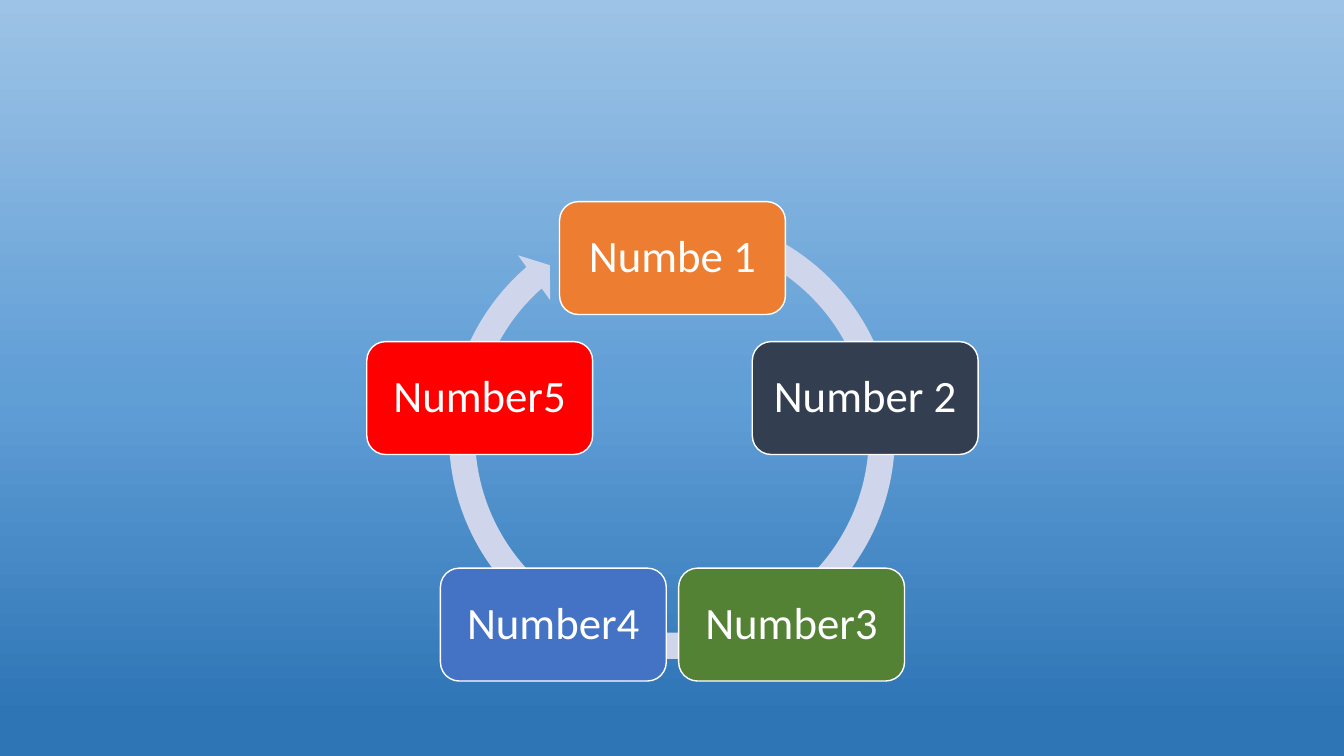
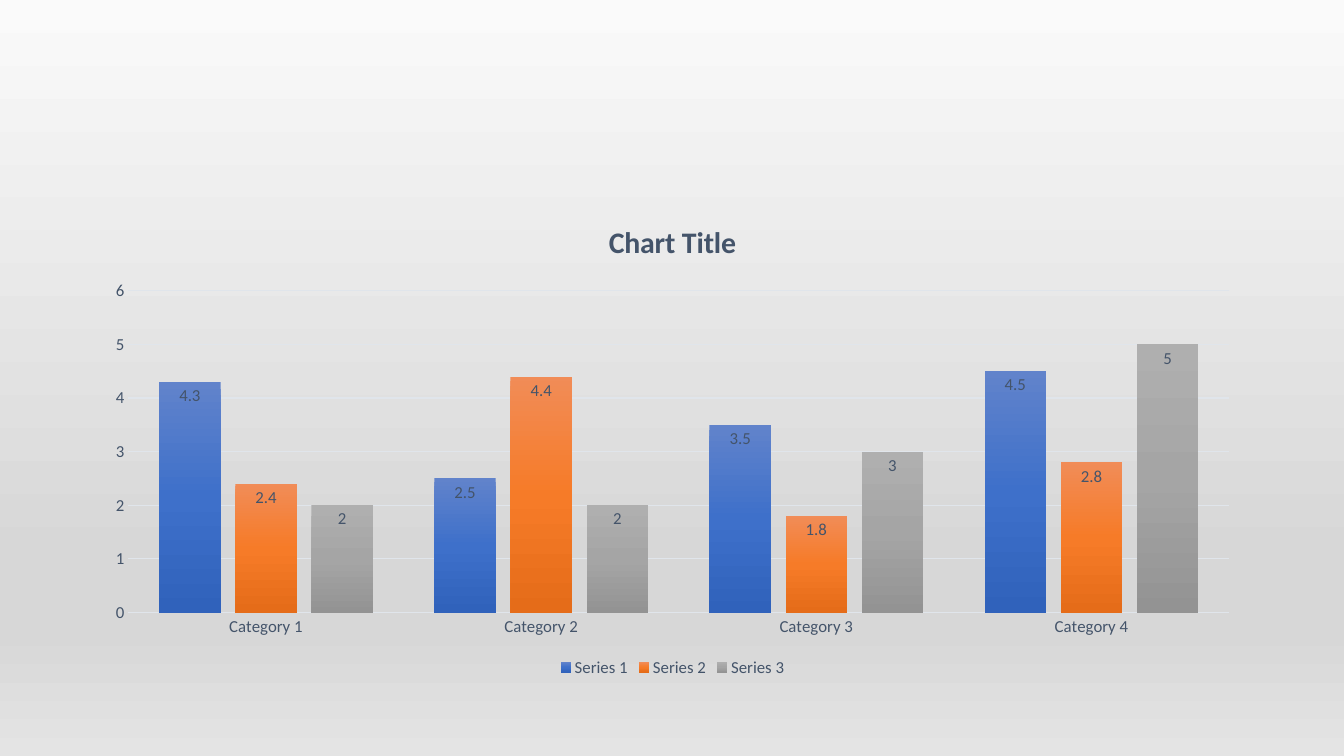
from dataclasses import dataclass
from math import cos, radians, sin

from lxml.etree import SubElement
from pptx import Presentation
from pptx.chart.data import CategoryChartData as ChartData
from pptx.dml.color import RGBColor
from pptx.dml.fill import FillFormat as Fill
from pptx.enum.chart import XL_CHART_TYPE as Kind, XL_LABEL_POSITION as Spot
from pptx.enum.chart import XL_LEGEND_POSITION as Side, XL_TICK_MARK as Tick
from pptx.enum.shapes import MSO_SHAPE as Form
from pptx.enum.text import MSO_ANCHOR as Anchor, PP_ALIGN as Align
from pptx.oxml.ns import qn
from pptx.oxml.xmlchemy import BaseOxmlElement as Node
from pptx.slide import Slide
from pptx.text.text import Font
from pptx.util import Inches, Pt

# Colours and type
FACE = "Calibri"
WHITE = RGBColor(0xFF, 0xFF, 0xFF)
BLACK = RGBColor(0x00, 0x00, 0x00)
ORANGE = RGBColor(0xED, 0x7D, 0x31)
NAVY = RGBColor(0x33, 0x3F, 0x50)
GREEN = RGBColor(0x54, 0x82, 0x35)
BLUE = RGBColor(0x44, 0x72, 0xC4)
RED = RGBColor(0xFF, 0x00, 0x00)
PALE = RGBColor(0xCF, 0xD5, 0xEA)
SLATE = RGBColor(0x44, 0x54, 0x6A)
RULE = RGBColor(0xE0, 0xE5, 0xEB)


@dataclass(frozen=True)
class Blend:
    """Stops as (percent, colour) pairs, running down or up."""
    stops: tuple[tuple[int, str], ...]
    up: bool = False


@dataclass(frozen=True)
class Step:
    text: str
    color: RGBColor


@dataclass(frozen=True)
class Row:
    name: str
    vals: tuple[float, ...]
    blend: Blend


SKY = Blend(((5, "2E75B6"), (48, "609ED6"), (100, "9DC3E6")), up=True)
MIST = Blend(((0, "FAFAFA"), (74, "D7D7D7"), (83, "D7D7D7"), (100, "E4E4E4")))

STEPS = (
    Step("Numbe 1", ORANGE),
    Step("Number 2", NAVY),
    Step("Number3", GREEN),
    Step("Number4", BLUE),
    Step("Number5", RED),
)
ROWS = (
    Row("Series 1", (4.3, 2.5, 3.5, 4.5),
        Blend(((0, "6183CB"), (50, "3E70CA"), (100, "3062BB")))),
    Row("Series 2", (2.4, 4.4, 1.8, 2.8),
        Blend(((0, "F18C57"), (50, "F67B28"), (100, "E56C19")))),
    Row("Series 3", (2, 2, 3, 5),
        Blend(((0, "AFAFAF"), (50, "A5A5A5"), (100, "939393")))),
)

# Cycle geometry, in inches
MID_X, MID_Y, RADIUS = 6.67, 4.57, 2.01
BOX_W, BOX_H = 2.24, 1.12
RING = (4.31, 1.97, 4.71)
BEND = (0.055, 3.307, 137.364, 174.101, 0.058)


def style(font: Font, size: float, color: RGBColor, bold: bool = False) -> None:
    font.name, font.size, font.bold = FACE, Pt(size), bold
    font.color.rgb = color


def shade(fill: Fill, root: Node, blend: Blend) -> None:
    """Fill with a gradient; root is the element that holds the fill."""
    fill.gradient()
    fill.gradient_angle = 90 if blend.up else 270
    stops = root.find(".//" + qn("a:gsLst"))
    for old in list(stops):
        stops.remove(old)
    for place, color in blend.stops:
        stop = SubElement(stops, qn("a:gs"), pos=str(place * 1000))
        SubElement(stop, qn("a:srgbClr"), val=color)


def add_page(deck: Presentation, blend: Blend) -> Slide:
    page = deck.slides.add_slide(deck.slide_layouts[6])
    shade(page.background.fill, page.element, blend)
    return page


def add_ring(page: Slide) -> None:
    left, top, size = map(Inches, RING)
    ring = page.shapes.add_shape(Form.CIRCULAR_ARROW, left, top, size, size)
    for i, value in enumerate(BEND):
        ring.adjustments[i] = value
    ring.shadow.inherit = False
    ring.fill.solid()
    ring.fill.fore_color.rgb = PALE
    ring.line.fill.background()


def add_step(page: Slide, step: Step, turn: float) -> None:
    """Place a box on the circle, turn degrees clockwise from the top."""
    x = MID_X + RADIUS * sin(radians(turn))
    y = MID_Y - RADIUS * cos(radians(turn))
    box = page.shapes.add_shape(
        Form.ROUNDED_RECTANGLE, Inches(x - BOX_W / 2), Inches(y - BOX_H / 2),
        Inches(BOX_W), Inches(BOX_H))
    box.shadow.inherit = False
    box.fill.solid()
    box.fill.fore_color.rgb = step.color
    box.line.color.rgb = WHITE
    box.line.width = Pt(1)
    frame = box.text_frame
    frame.text = step.text
    frame.word_wrap = True
    frame.vertical_anchor = Anchor.MIDDLE
    frame.margin_left = frame.margin_right = Inches(0.13)
    frame.margin_top = frame.margin_bottom = Inches(0.13)
    para = frame.paragraphs[0]
    para.alignment = Align.CENTER
    para.line_spacing = 0.9
    style(para.runs[0].font, 32, WHITE)


def add_bars(page: Slide) -> None:
    data = ChartData()
    data.categories = [f"Category {n}" for n in range(1, 5)]
    for row in ROWS:
        data.add_series(row.name, row.vals)
    chart = page.shapes.add_chart(
        Kind.COLUMN_CLUSTERED, Inches(0.92), Inches(2),
        Inches(11.5), Inches(4.76), data).chart
    style(chart.font, 10, BLACK)

    # Title and legend
    chart.has_title = True
    title = chart.chart_title.text_frame
    title.text = "Chart Title"
    style(title.paragraphs[0].runs[0].font, 21.3, SLATE, bold=True)
    chart.has_legend = True
    chart.legend.position = Side.BOTTOM
    chart.legend.include_in_layout = False
    style(chart.legend.font, 12, SLATE)

    # Axes
    cats, vals = chart.category_axis, chart.value_axis
    for axis in (cats, vals):
        axis.major_tick_mark = axis.minor_tick_mark = Tick.NONE
        style(axis.tick_labels.font, 12, SLATE)
    vals.minimum_scale, vals.maximum_scale, vals.major_unit = 0, 6, 1
    vals.format.line.fill.background()
    vals.has_major_gridlines = True
    for line in (cats.format.line, vals.major_gridlines.format.line):
        line.color.rgb = RULE
        line.width = Pt(0.75)

    # Columns
    plot = chart.plots[0]
    plot.gap_width, plot.overlap = 100, -24
    plot.vary_by_categories = False
    for bar, row in zip(plot.series, ROWS):
        bar.invert_if_negative = False
        shade(bar.format.fill, bar._element, row.blend)
        tags = bar.data_labels
        tags.show_value = True
        tags.position = Spot.INSIDE_END
        style(tags.font, 12, SLATE)


def main() -> None:
    deck = Presentation()
    deck.slide_width, deck.slide_height = Inches(13.33), Inches(7.5)

    # Cycle
    page = add_page(deck, SKY)
    add_ring(page)
    for i, step in enumerate(STEPS):
        add_step(page, step, i * 360 / len(STEPS))

    # Column chart
    add_bars(add_page(deck, MIST))
    deck.save("out.pptx")


if __name__ == "__main__":
    main()
